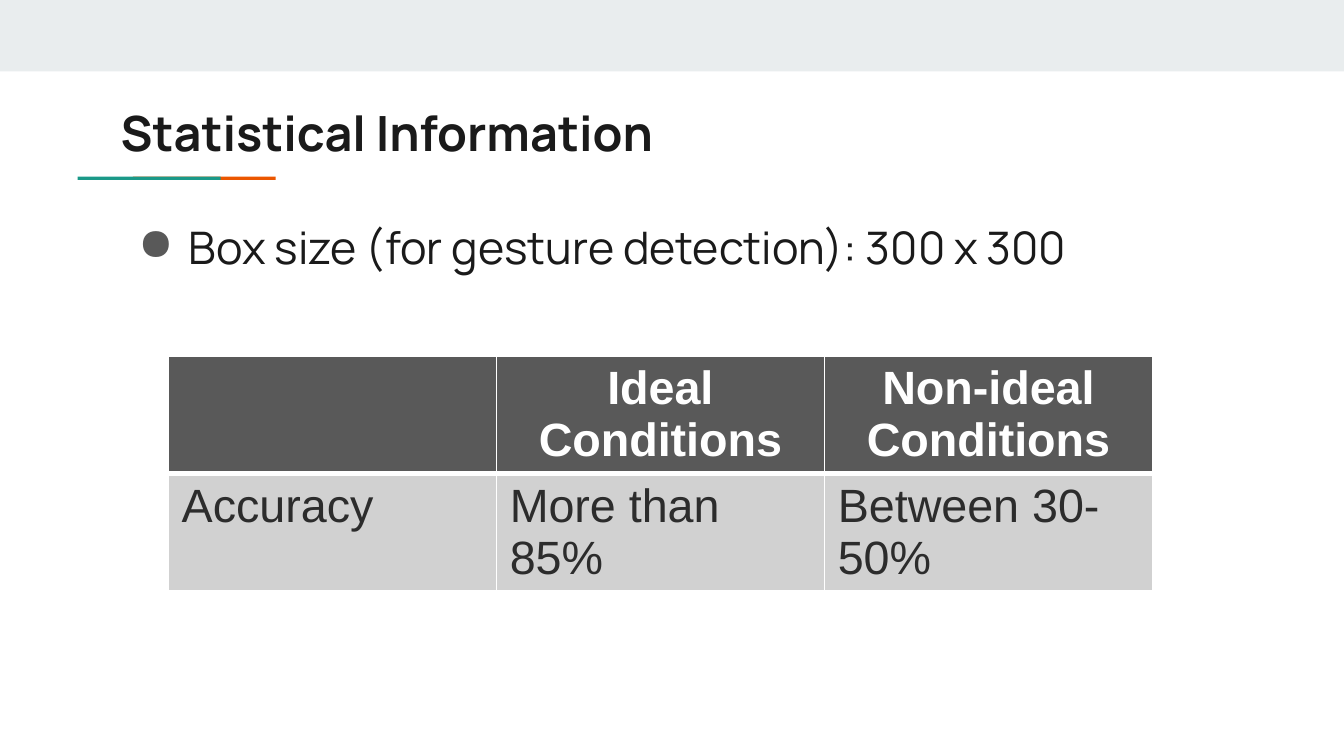
from lxml.etree import SubElement
from pptx import Presentation
from pptx.dml.color import RGBColor
from pptx.enum.shapes import MSO_SHAPE
from pptx.enum.text import MSO_ANCHOR, MSO_AUTO_SIZE, PP_ALIGN
from pptx.oxml.ns import qn
from pptx.util import Cm, Pt

# Content
TITLE = "Statistical Information"
BULLET = "Box size (for gesture detection): 300 x 300"
ROWS = [
    ["", "Ideal Conditions", "Non-ideal Conditions"],
    ["Accuracy", "More than 85%", "Between 30-50%"],
]

# Colours
WHITE = RGBColor(0xFF, 0xFF, 0xFF)
BAND = RGBColor(0xE9, 0xED, 0xEE)
ORANGE = RGBColor(0xEB, 0x56, 0x00)
TEAL = RGBColor(0x1A, 0x99, 0x88)
INK = RGBColor(0x1A, 0x1A, 0x1A)
HEADER_GREY = RGBColor(0x59, 0x59, 0x59)
BODY_GREY = RGBColor(0xD1, 0xD1, 0xD1)
BODY_INK = RGBColor(0x2C, 0x2C, 0x2C)


def write(frame, text, font, size, colour, bold=False, align=PP_ALIGN.LEFT):
    para = frame.paragraphs[0]
    para.alignment = align
    span = para.add_run()
    span.text = text
    span.font.name = font
    span.font.size = Pt(size)
    span.font.bold = bold
    span.font.color.rgb = colour
    return para


def set_frame(frame, bottom, anchor):
    frame.word_wrap = True
    frame.auto_size = MSO_AUTO_SIZE.NONE
    frame.vertical_anchor = anchor
    frame.margin_left = frame.margin_right = frame.margin_top = Cm(0.25)
    frame.margin_bottom = Cm(bottom)


def add_bar(page, left, top, width, height, colour):
    bar = page.shapes.add_shape(
        MSO_SHAPE.RECTANGLE, Cm(left), Cm(top), Cm(width), Cm(height))
    bar.shadow.inherit = False
    bar.fill.solid()
    bar.fill.fore_color.rgb = colour
    bar.line.fill.background()


def add_bullet(para, colour):
    properties = para._p.get_or_add_pPr()
    properties.set("marL", str(Cm(1.29)))
    properties.set("indent", str(-Cm(0.96)))
    bullet_colour = SubElement(properties, qn("a:buClr"))
    SubElement(bullet_colour, qn("a:srgbClr"), val=str(colour))
    SubElement(properties, qn("a:buChar"), char="●")


def set_borders(cell, colour, widths):
    properties = cell._tc.get_or_add_tcPr()
    for side, width in widths.items():
        line = SubElement(properties, qn(f"a:ln{side}"), w=str(Pt(width)))
        fill = SubElement(line, qn("a:solidFill"))
        SubElement(fill, qn("a:srgbClr"), val=str(colour))


deck = Presentation()
deck.slide_width, deck.slide_height = Cm(25.4), Cm(14.29)
page = deck.slides.add_slide(deck.slide_layouts[5])

# Top band and two-colour underline
add_bar(page, 0, 0, 25.4, 1.35, BAND)
for left, colour in [(2.51, ORANGE), (1.47, TEAL)]:
    add_bar(page, left, 3.34, 2.7, 0.06, colour)

# Title
title = page.shapes.title
title.left, title.top, title.width, title.height = Cm(2.03), Cm(1.68), Cm(21.36), Cm(1.5)
set_frame(title.text_frame, 0.1, MSO_ANCHOR.MIDDLE)
write(title.text_frame, TITLE, "Manrope", 26, INK, bold=True)

# Bullet
box = page.shapes.add_textbox(Cm(2.03), Cm(3.76), Cm(21.74), Cm(9.86))
set_frame(box.text_frame, 0.25, MSO_ANCHOR.TOP)
para = write(box.text_frame, BULLET, "Manrope", 24, INK)
add_bullet(para, HEADER_GREY)
para.line_spacing = 1.15
para.space_after = Pt(16)

# Accuracy table
table = page.shapes.add_table(
    len(ROWS), len(ROWS[0]), Cm(3.18), Cm(6.73), Cm(18.6), Cm(4.22)).table
for column in table.columns:
    column.width = Cm(6.2)
for row_index, texts in enumerate(ROWS):
    header = row_index == 0
    table.rows[row_index].height = Cm(2.11)
    for column_index, text in enumerate(texts):
        cell = table.cell(row_index, column_index)
        set_borders(cell, WHITE, {"L": 1, "R": 1, "T": 1 if header else 3, "B": 3 if header else 1})
        cell.fill.solid()
        cell.fill.fore_color.rgb = HEADER_GREY if header else BODY_GREY
        if text:
            write(cell.text_frame, text, "Arial", 25, WHITE if header else BODY_INK,
                  bold=header, align=PP_ALIGN.CENTER if header else PP_ALIGN.LEFT)

deck.save("out.pptx")
